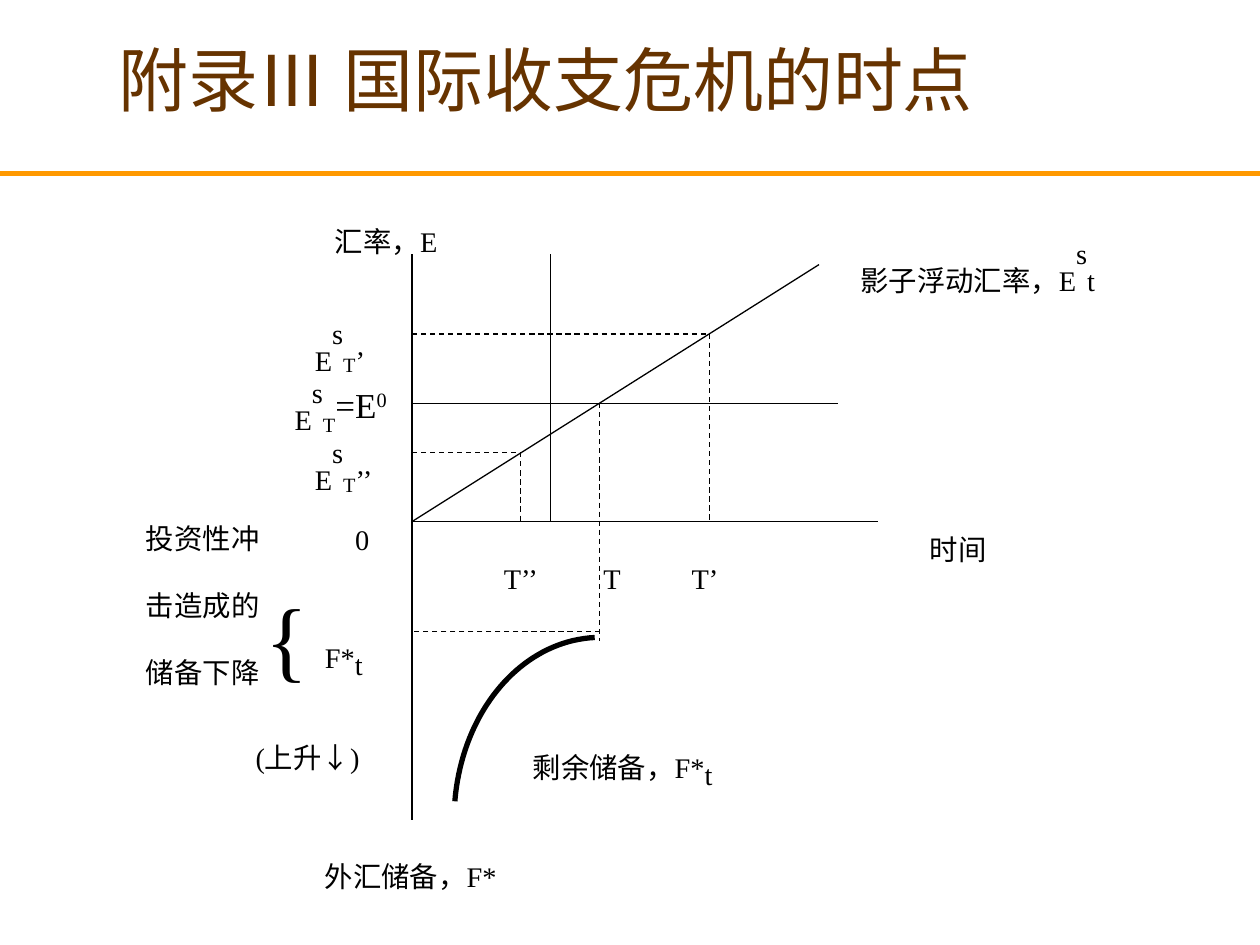
from dataclasses import dataclass

from lxml import etree
from pptx import Presentation
from pptx import util as u
from pptx.dml.color import RGBColor
from pptx.enum import dml, shapes, text
from pptx.oxml.ns import qn


@dataclass(frozen=True)
class Theme:
    ink: RGBColor = RGBColor(0x00, 0x00, 0x00)
    title: RGBColor = RGBColor(0x66, 0x33, 0x00)
    rule: RGBColor = RGBColor(0xFF, 0x99, 0x00)
    latin: str = "Times New Roman"
    asian: str = "Noto Sans CJK SC"
    title_size: int = 40
    label_size: int = 28
    small_size: int = 20
    brace_size: int = 88


theme = Theme()
SUB, LOW, SUPER = -25, -40, 30  # baseline shifts in percent

presentation = Presentation()
presentation.slide_width = u.Inches(10)
presentation.slide_height = u.Inches(7.5)
slide = presentation.slides.add_slide(presentation.slide_layouts[6])


def add_line(start, end, color=theme.ink, width=0.75, dashed=False):
    line = slide.shapes.add_connector(
        shapes.MSO_CONNECTOR.STRAIGHT, *(u.Inches(value) for value in start + end))
    line.line.color.rgb = color
    line.line.width = u.Pt(width)
    if dashed:
        line.line.dash_style = dml.MSO_LINE.DASH
    etree.SubElement(line._element.spPr, qn("a:effectLst"))


def add_text(left, top, width, height, runs, color=theme.ink):
    """Each run is (text, baseline shift, size, Latin font); the last two are optional."""
    box = slide.shapes.add_textbox(*(u.Inches(value) for value in (left, top, width, height)))
    frame = box.text_frame
    frame.word_wrap = True
    frame.auto_size = text.MSO_AUTO_SIZE.SHAPE_TO_FIT_TEXT
    for words, shift, *style in runs:
        run = frame.paragraphs[0].add_run()
        run.text = words
        run.font.size = u.Pt(style[0] if style else theme.label_size)
        run.font.name = style[1] if len(style) > 1 else theme.latin
        run.font.color.rgb = color
        properties = run._r.get_or_add_rPr()
        etree.SubElement(properties, qn("a:ea")).set("typeface", theme.asian)
        if shift:
            properties.set("baseline", str(shift * 1000))
    return frame


# Title and rule
add_line((0, 1.38), (10, 1.38), theme.rule, 3)
title = add_text(0.08, 0, 8.5, 1.25, [
    ("附录", 0, theme.title_size),
    ("Ⅲ 国际收支危机的时点", 0, theme.title_size, theme.asian),
], theme.title)
title.auto_size = text.MSO_AUTO_SIZE.NONE
title.vertical_anchor = text.MSO_ANCHOR.MIDDLE
title.paragraphs[0].alignment = text.PP_ALIGN.CENTER

# Axes, fixed rate, shadow rate and vertical marker
axis_x, axis_y = 3.27, 4.14
fixed_rate, crisis_time, reserve_level = 3.2, 4.76, 5.01
add_line((axis_x, 2.02), (axis_x, 6.51))
add_line((axis_x, axis_y), (6.97, axis_y))
add_line((axis_x, fixed_rate), (6.65, fixed_rate))
add_line((axis_x, axis_y), (6.5, 2.1))
add_line((4.37, axis_y), (4.37, 2.02))

# Dashed guides
for time, rate in ((4.13, 3.59), (5.63, 2.65)):
    add_line((axis_x, rate), (time, rate), dashed=True)
    add_line((time, rate), (time, axis_y), dashed=True)
add_line((crisis_time, fixed_rate), (crisis_time, 5.09), dashed=True)
add_line((crisis_time, reserve_level), (axis_x, reserve_level), dashed=True)

# Remaining reserves: a cubic curve drawn in short steps
controls = ((4.72, 5.06), (4.14, 5.09), (3.67, 5.64), (3.61, 6.36))
steps = 40
curve_points = []
for step in range(steps + 1):
    t = step / steps
    weights = ((1 - t) ** 3, 3 * t * (1 - t) ** 2, 3 * t ** 2 * (1 - t), t ** 3)
    curve_points.append(tuple(
        u.Inches(sum(weight * point[axis] for weight, point in zip(weights, controls)))
        for axis in (0, 1)))
builder = slide.shapes.build_freeform(*curve_points[0])
builder.add_line_segments(curve_points[1:], close=False)
curve = builder.convert_to_shape()
curve.shadow.inherit = False
curve.fill.background()
curve.line.color.rgb = theme.ink
curve.line.width = u.Pt(3)

# Plain labels: left, top, width, height, words
for left, top, width, height, words in (
    (2.72, 3.83, 0.39, 0.63, "0"),
    (2.56, 1.47, 1.65, 0.63, "汇率，E"),
    (7.28, 3.91, 1.65, 0.63, "时间"),
    (3.9, 4.14, 0.55, 0.63, "T’’"),
    (4.69, 4.14, 0.55, 0.63, "T"),
    (5.39, 4.14, 0.55, 0.63, "T’"),
    (2.48, 6.51, 2.05, 0.63, "外汇储备，F*"),
    (1.06, 3.83, 1.18, 1.7, "投资性冲击造成的储备下降"),
):
    add_text(left, top, width, height, [(words, SUB)])

# Shadow rate labels
add_text(6.73, 1.78, 2.84, 0.63, [("影子浮动汇率，E", SUB), ("s", SUPER), ("t", SUB)])
shadow_rate = [("E", SUB), ("s", SUPER), ("T", LOW, theme.small_size)]
add_text(2.4, 3.36, 1.65, 0.63, shadow_rate + [("’’", SUB)])
add_text(2.4, 2.41, 1.65, 0.63, shadow_rate + [("’", SUB)])
add_text(2.24, 2.88, 1.65, 0.63, shadow_rate + [
    ("=E", 0, theme.small_size), ("0", SUPER, theme.small_size)])

# Reserve labels
add_text(4.13, 5.64, 2.05, 0.69, [("剩余储备，F*", SUB), ("t", LOW)])
add_text(2.48, 4.77, 0.87, 0.69, [("F*", SUB), ("t", LOW)])
add_text(1.93, 5.56, 1.42, 0.63, [
    ("(上升", SUB), ("↓", SUB, theme.label_size, theme.asian), (")", SUB)])
add_text(2.01, 3.75, 0.24, 1.77, [("{", SUB, theme.brace_size)])

presentation.save("out.pptx")
